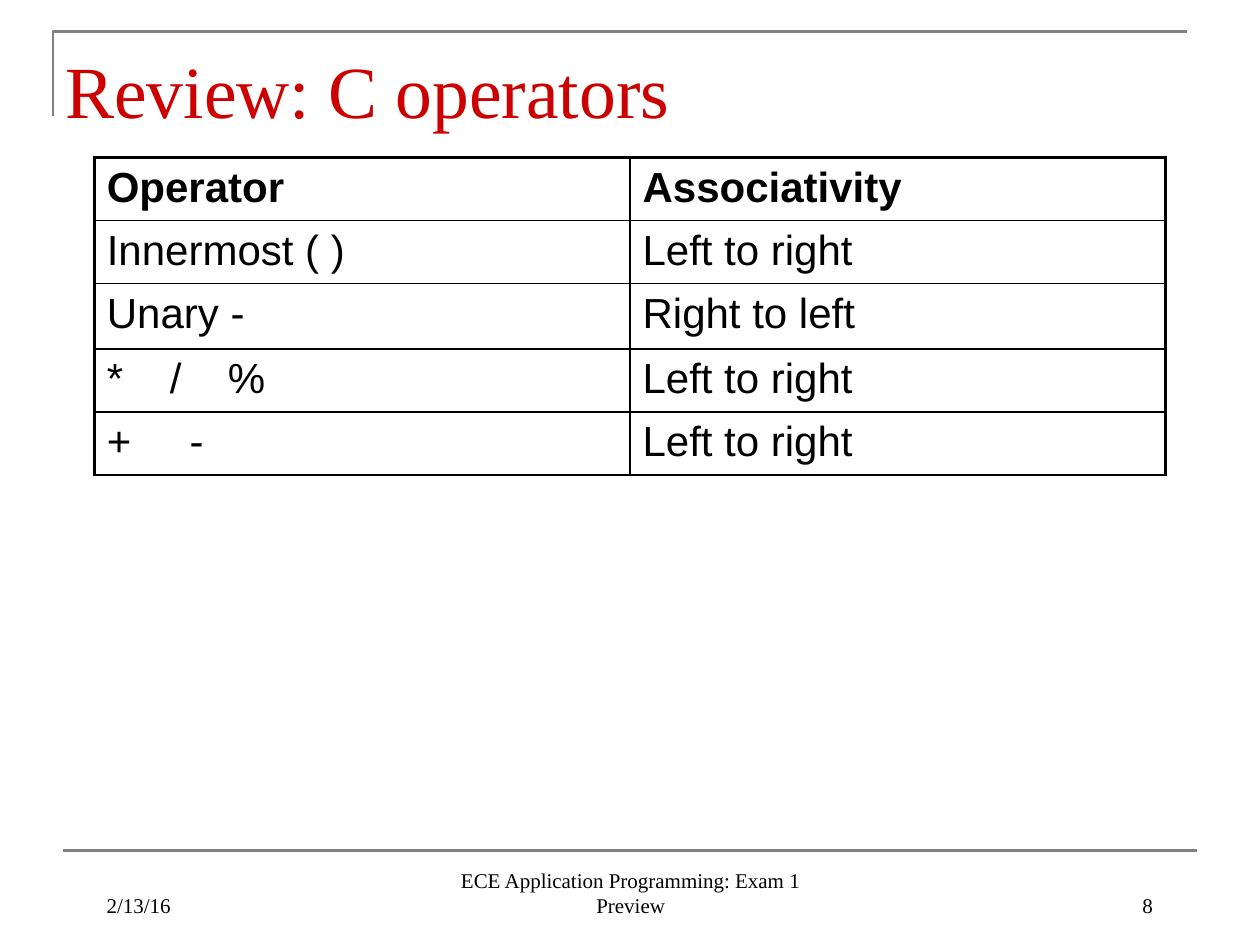
from dataclasses import dataclass
from lxml.etree import SubElement as Sub
from pptx import Presentation as Deck
from pptx.dml.color import RGBColor as Rgb
from pptx.enum.shapes import MSO_CONNECTOR as Link
from pptx.enum.text import MSO_ANCHOR as Anchor, PP_ALIGN as Align
from pptx.oxml.ns import qn
from pptx.util import Cm, Pt


@dataclass(frozen=True)
class Theme:
    red: str = "CC0000"
    black: str = "000000"
    gray: str = "808080"
    serif: str = "Times New Roman"
    sans: str = "Arial"
    title: int = 42
    body: int = 24
    foot: int = 12
    rule: float = 1.5
    thick: float = 2.25
    thin: float = 1


@dataclass(frozen=True)
class Box:
    text: str
    left: float
    top: float
    width: float
    height: float
    size: int
    color: str
    anchor: Anchor = Anchor.BOTTOM
    align: Align = Align.LEFT


@dataclass(frozen=True)
class Row:
    name: str
    order: str
    height: float = 1.27
    tabs: tuple[float, ...] = ()
    bold: bool = False


THEME = Theme()
FOOT = dict(top=17.35, height=1.27, size=THEME.foot, color=THEME.black)
BOXES = (
    Box("Review: C operators", 1.07, 0.64, 21.59, 2.33, THEME.title, THEME.red, Anchor.MIDDLE),
    Box("8", left=18.21, width=5.28, align=Align.RIGHT, **FOOT),
    Box("2/13/16", left=1.9, width=5.28, **FOOT),
    Box("ECE Application Programming: Exam 1 Preview",
        left=8.69, width=8.05, align=Align.CENTER, **FOOT),
)
ROWS = (
    Row("Operator", "Associativity", bold=True),
    Row("Innermost ( )", "Left to right"),
    Row("Unary -", "Right to left", 1.32),
    Row("*\t/\t%", "Left to right", tabs=(1.27, 2.44)),
    Row("+\t-", "Left to right", tabs=(1.67,)),
)


def write(frame, text: str, *, size: int, font: str, color: str, bold: bool = False,
          align: Align = Align.LEFT, tabs: tuple[float, ...] = ()) -> None:
    para = frame.paragraphs[0]
    para.alignment = align
    if tabs:
        stops = Sub(para._p.get_or_add_pPr(), qn("a:tabLst"))
        for stop in tabs:
            Sub(stops, qn("a:tab"), pos=str(Cm(stop)), algn="l")
    run = para.add_run()
    run.text = text
    run.font.name = font
    run.font.size = Pt(size)
    run.font.bold = bold
    run.font.color.rgb = Rgb.from_string(color)


def stroke(line) -> None:
    line.color.rgb = Rgb.from_string(THEME.gray)
    line.width = Pt(THEME.rule)


def draw_rules(shapes) -> None:
    pen = shapes.build_freeform(Cm(1.07), Cm(2.34))
    pen.add_line_segments([(Cm(1.07), Cm(0.64)), (Cm(23.93), Cm(0.64))], close=False)
    frame = pen.convert_to_shape()
    frame.shadow.inherit = False
    frame.fill.background()
    stroke(frame.line)
    base = shapes.add_connector(Link.STRAIGHT, Cm(1.27), Cm(17.15), Cm(24.13), Cm(17.15))
    Sub(base._element.spPr, qn("a:effectLst"))
    stroke(base.line)
    base._element.spPr.append(base._element.spPr.find(qn("a:effectLst")))


def draw_box(shapes, box: Box) -> None:
    frame = shapes.add_textbox(Cm(box.left), Cm(box.top), Cm(box.width), Cm(box.height)).text_frame
    frame.word_wrap = True
    frame.vertical_anchor = box.anchor
    write(frame, box.text, size=box.size, font=THEME.serif, color=box.color, align=box.align)


def edge(cell, **widths: float) -> None:
    props = cell._tc.get_or_add_tcPr()
    for side, width in widths.items():
        line = Sub(props, qn(f"a:ln{side}"), w=str(Pt(width)))
        Sub(Sub(line, qn("a:solidFill")), qn("a:srgbClr"), val=THEME.black)


def draw_table(shapes, rows: tuple[Row, ...]) -> None:
    high = sum(row.height for row in rows)
    table = shapes.add_table(len(rows), 2, Cm(1.9), Cm(3.18), Cm(21.6), Cm(high)).table
    table.first_row = table.horz_banding = False
    for y, row in enumerate(rows):
        table.rows[y].height = Cm(row.height)
        for x, text in enumerate((row.name, row.order)):
            cell = table.cell(y, x)
            edge(cell,
                 L=THEME.thin if x else THEME.thick,
                 R=THEME.thick if x else THEME.thin,
                 T=THEME.thin if y else THEME.thick,
                 B=THEME.thin)
            cell.fill.background()
            write(cell.text_frame, text, size=THEME.body, font=THEME.sans,
                  color=THEME.black, bold=row.bold, tabs=() if x else row.tabs)


def main() -> None:
    deck = Deck()
    deck.slide_width, deck.slide_height = Cm(25.4), Cm(19.05)
    shapes = deck.slides.add_slide(deck.slide_layouts[6]).shapes
    draw_rules(shapes)
    draw_table(shapes, ROWS)
    for box in BOXES:
        draw_box(shapes, box)
    deck.save("out.pptx")


if __name__ == "__main__":
    main()
